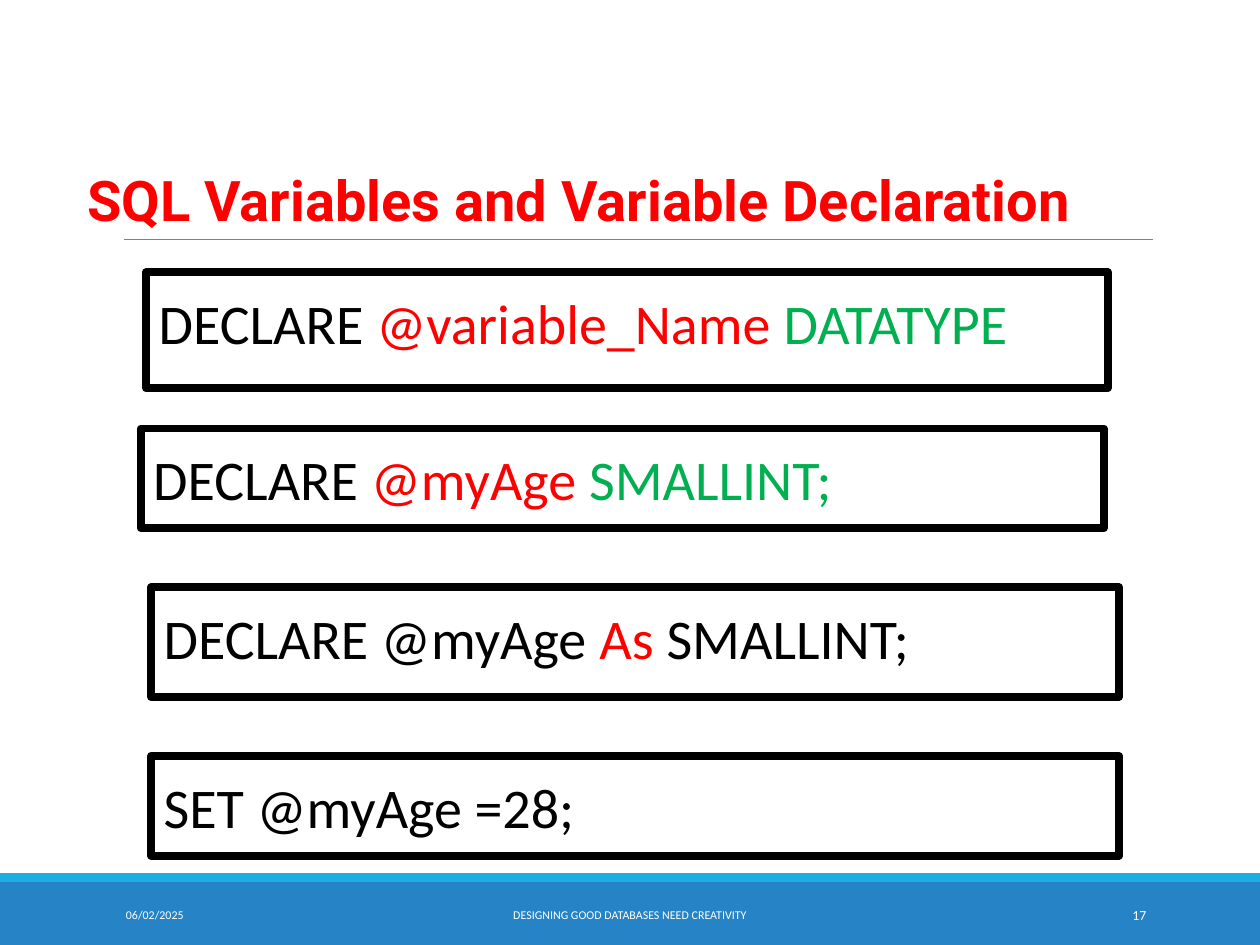
from lxml import etree
from pptx import Presentation
from pptx import util as u
from pptx.dml.color import RGBColor
from pptx.enum import shapes, text
from pptx.oxml.ns import qn

BLACK, WHITE, RED, GREEN = "000000", "FFFFFF", "FF0000", "00B050"
TITLE = "SQL Variables and Variable Declaration"
TITLE_PLACE = (1.5, 0.79, 23.01, 4.04)
RULE = (2.49, 4.83, 23.24, 4.83)
BANDS = [((0, 17.78, 25.4, 1.27), "2683C6"), ((0, 17.6, 25.4, 0.18), "1CADE4")]
FOOTERS = [
    ("06/02/2025", 2.29, 5.16, 6.8, text.PP_ALIGN.LEFT),
    ("DESIGNING GOOD DATABASES NEED CREATIVITY", 7.67, 10.06, 6.8, text.PP_ALIGN.CENTER),
    ("17", 20.62, 2.74, 7.9, text.PP_ALIGN.RIGHT),
]
FOOTER_TOP, FOOTER_HEIGHT = 17.93, 1.02
STATEMENTS = [
    ((2.95, 5.49, 19.38, 2.34),
     [("DECLARE ", BLACK), ("@variable_Name ", RED), ("DATATYPE", GREEN)]),
    ((2.84, 8.64, 19.41, 2.01),
     [("DECLARE ", BLACK), ("@myAge ", RED), ("SMALLINT;", GREEN)]),
    ((3.05, 11.84, 19.51, 2.21),
     [("DECLARE @myAge ", BLACK), ("As", RED), (" SMALLINT;", BLACK)]),
    ((3.05, 15.24, 19.51, 2.01), [("SET @myAge =28;", BLACK)]),
]


def color(value):
    return RGBColor.from_string(value)


def lengths(values):
    return [u.Cm(value) for value in values]


def apply(target, values):
    for name, value in values.items():
        setattr(target, name, value)


def write(shape, runs, size, anchor, font="Calibri", bold=False, **paragraph_format):
    apply(shape.text_frame, {"word_wrap": True, "vertical_anchor": anchor,
                             "auto_size": text.MSO_AUTO_SIZE.NONE})
    paragraph = shape.text_frame.paragraphs[0]
    apply(paragraph, paragraph_format)
    for words, run_color in runs:
        run = paragraph.add_run()
        run.text = words
        apply(run.font, {"name": font, "size": u.Pt(size), "bold": bold})
        run.font.color.rgb = color(run_color)


def add_rectangle(slide, place, fill, line=None):
    shape = slide.shapes.add_shape(shapes.MSO_SHAPE.RECTANGLE, *lengths(place))
    shape.shadow.inherit = False
    shape.fill.solid()
    shape.fill.fore_color.rgb = color(fill)
    if line:
        shape.line.color.rgb = color(line)
        shape.line.width = u.Pt(4.5)
    else:
        shape.line.fill.background()
    return shape


def add_rule(slide):
    rule = slide.shapes.add_connector(shapes.MSO_CONNECTOR.STRAIGHT, *lengths(RULE))
    rule.line.color.rgb = color("808080")
    rule.line.width = u.Pt(0.5)
    etree.SubElement(rule._element.spPr, qn("a:effectLst"))


def add_title(slide):
    title = slide.shapes.title
    apply(title, dict(zip(("left", "top", "width", "height"), lengths(TITLE_PLACE))))
    write(title, [(TITLE, RED)], 32, text.MSO_ANCHOR.BOTTOM, "Roboto", True,
          alignment=text.PP_ALIGN.LEFT, line_spacing=0.85)


def main():
    presentation = Presentation()
    apply(presentation, {"slide_width": u.Cm(25.4), "slide_height": u.Cm(19.05)})
    slide = presentation.slides.add_slide(presentation.slide_layouts.get_by_name("Title Only"))

    for place, fill in BANDS:
        add_rectangle(slide, place, fill)
    add_rule(slide)
    add_title(slide)
    for words, left, width, size, alignment in FOOTERS:
        place = lengths((left, FOOTER_TOP, width, FOOTER_HEIGHT))
        write(slide.shapes.add_textbox(*place), [(words, WHITE)], size,
              text.MSO_ANCHOR.MIDDLE, alignment=alignment)
    for place, runs in STATEMENTS:
        box = add_rectangle(slide, place, WHITE, BLACK)
        write(box, runs, 32, text.MSO_ANCHOR.TOP, alignment=text.PP_ALIGN.LEFT,
              line_spacing=1.15, space_after=u.Pt(10))

    presentation.save("out.pptx")


if __name__ == "__main__":
    main()
